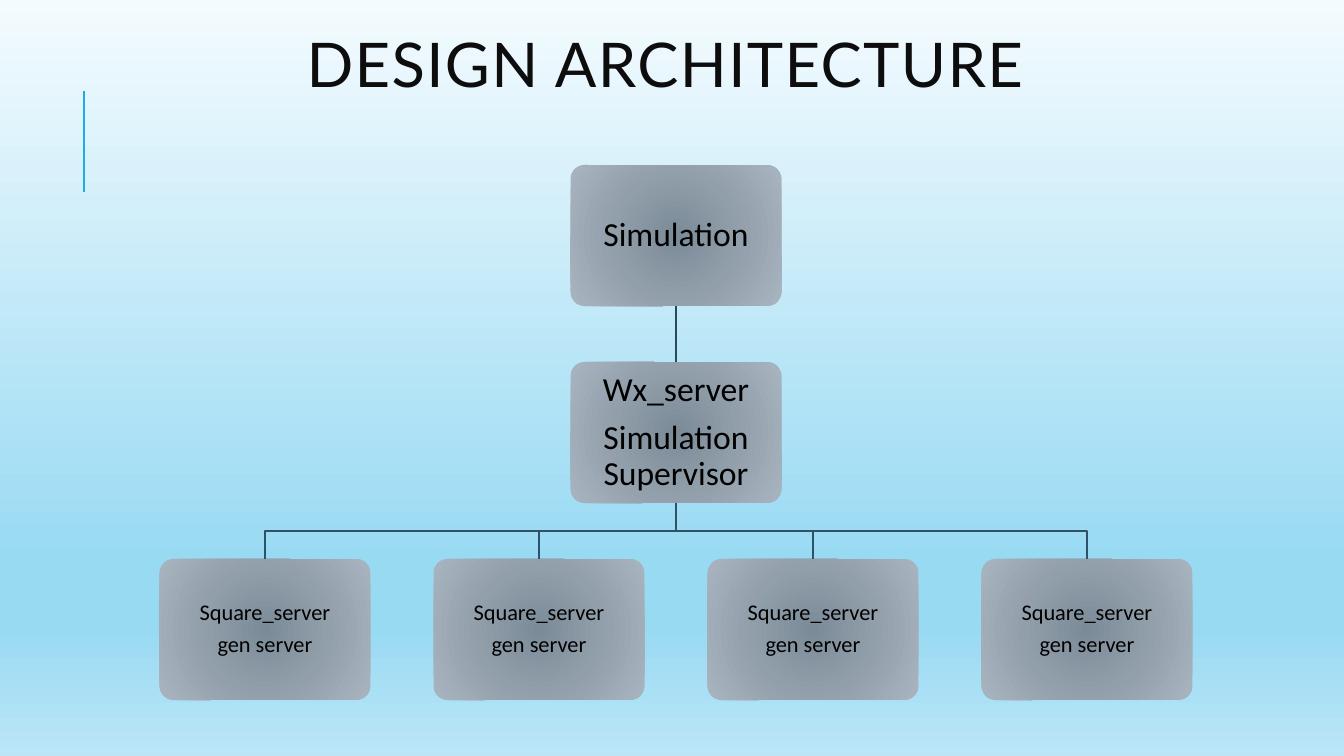
from pptx import Presentation
from pptx.dml.color import RGBColor
from pptx.enum.shapes import MSO_CONNECTOR, MSO_SHAPE
from pptx.enum.text import MSO_ANCHOR, PP_ALIGN
from pptx.oxml import parse_xml
from pptx.oxml.ns import nsdecls, qn
from pptx.util import Pt
from lxml.etree import SubElement

PX = 914400 / 100.8
WIDE, HIGH = 211, 141
MID, TOP, STEP, PITCH = 676, 165, 197, 274


def px(*nums):
    return [round(num * PX) for num in nums]


def grade(props, stops, shade):
    marks = "".join(
        f'<a:gs pos="{pos * 1000}"><a:srgbClr val="{tint}"/></a:gs>' for pos, tint in stops
    )
    fill = parse_xml(
        f'<a:gradFill {nsdecls("a")} rotWithShape="1"><a:gsLst>{marks}</a:gsLst>{shade}</a:gradFill>'
    )
    props.replace(props.find(qn("a:solidFill")), fill)


deck = Presentation()
deck.slide_width, deck.slide_height = px(1344, 756)
slide = deck.slides.add_slide(deck.slide_layouts[5])
shapes = slide.shapes

slide.background.fill.solid()
grade(
    slide._element.cSld.bg.bgPr,
    [(0, "F4FBFE"), (74, "99DAF3"), (83, "99DAF3"), (100, "BBE6F7")],
    '<a:lin ang="5400000" scaled="0"/>',
)

rule = shapes.add_connector(MSO_CONNECTOR.STRAIGHT, *px(84, 192, 84, 91))
rule.line.color.rgb = RGBColor.from_string("1CADE4")
rule.line.width = Pt(1.5)
SubElement(rule._element.spPr, qn("a:effectLst"))

title = shapes.title
title.left, title.top, title.width, title.height = px(128, 35, 1092, 118)
frame = title.text_frame
frame.word_wrap = True
frame.vertical_anchor = MSO_ANCHOR.TOP
para = frame.paragraphs[0]
para.alignment = PP_ALIGN.CENTER
para.line_spacing = 0.8
run = para.add_run()
run.text = "DESIGN ARCHITECTURE "
run.font.name = "Lato"
run.font.size = Pt(44)
run.font.color.rgb = RGBColor.from_string("0D0D0D")
run.font._element.set("spc", "100")

leaves = [MID + (2 * i - 3) * PITCH // 2 for i in range(4)]
nodes = [
    (MID, 0, 24, 14, ["Simulation"]),
    (MID, 1, 24, 14, ["Wx_server", "Simulation Supervisor"]),
] + [(leaf, 2, 16, 11, ["Square_server", "gen server"]) for leaf in leaves]

boxes = []
for mid, row, size, inset, lines in nodes:
    box = shapes.add_shape(
        MSO_SHAPE.ROUNDED_RECTANGLE, *px(mid - WIDE / 2, TOP + row * STEP, WIDE, HIGH)
    )
    boxes.append(box)
    box.adjustments[0] = 0.1
    box.shadow.inherit = False
    box.line.fill.background()
    box.fill.solid()
    grade(
        box._element.spPr,
        [(0, "7C8B98"), (100, "A8B4BF")],
        '<a:path path="circle"><a:fillToRect l="100000" t="100000" r="100000" b="100000"/></a:path>',
    )
    frame = box.text_frame
    frame.word_wrap = True
    frame.vertical_anchor = MSO_ANCHOR.MIDDLE
    frame.margin_left, frame.margin_top, frame.margin_right, frame.margin_bottom = px(*[inset] * 4)
    for i, line in enumerate(lines):
        para = frame.add_paragraph() if i else frame.paragraphs[0]
        para.alignment = PP_ALIGN.CENTER
        para.line_spacing = 0.9
        para.space_after = Pt(size * 0.35)
        run = para.add_run()
        run.text = line
        run.font.name = "Calibri"
        run.font.size = Pt(size)
        run.font.color.rgb = RGBColor.from_string("000000")

stem = shapes.add_connector(MSO_CONNECTOR.STRAIGHT, *px(MID, TOP + HIGH, MID, TOP + STEP))
stem.begin_connect(boxes[0], 2)
stem.end_connect(boxes[1], 0)
stem.line.color.rgb = RGBColor.from_string("29495D")
stem.line.width = Pt(1.25)
SubElement(stem._element.spPr, qn("a:effectLst"))

base, foot = TOP + STEP + HIGH, TOP + 2 * STEP
bend = (base + foot) // 2
for leaf in leaves:
    pen = shapes.build_freeform(MID, base, scale=PX)
    pen.add_line_segments([(MID, bend), (leaf, bend), (leaf, foot)], close=False)
    branch = pen.convert_to_shape()
    branch.shadow.inherit = False
    branch.fill.background()
    branch.line.color.rgb = RGBColor.from_string("2E5369")
    branch.line.width = Pt(1.25)

deck.save("out.pptx")
